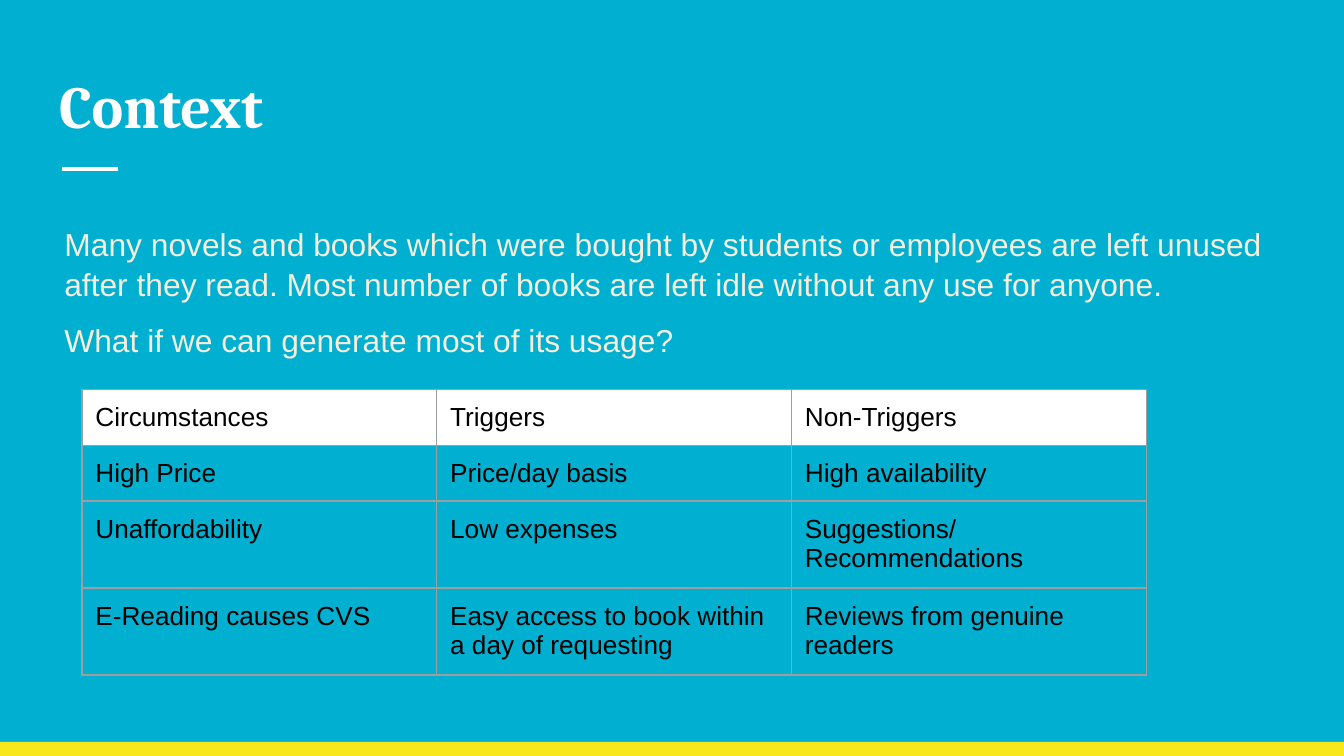
from dataclasses import dataclass

from lxml.etree import SubElement
from pptx import Presentation
from pptx.dml.color import RGBColor
from pptx.enum.shapes import MSO_CONNECTOR as CONN, MSO_SHAPE as SHAPE
from pptx.enum.text import MSO_ANCHOR as ANCHOR, PP_ALIGN as ALIGN
from pptx.oxml.ns import qn
from pptx.util import Inches, Pt

TEAL = RGBColor(0x01, 0xAF, 0xD1)
YELLOW = RGBColor(0xF8, 0xE7, 0x1C)
WHITE = RGBColor(0xFF, 0xFF, 0xFF)
CREAM = RGBColor(0xF4, 0xEE, 0xDC)
BLACK = RGBColor(0, 0, 0)
GREY = RGBColor(0x9E, 0x9E, 0x9E)
PAD = Inches(0.1)


@dataclass
class Font:
    name: str
    size: float
    color: RGBColor
    bold: bool = False


@dataclass
class Para:
    text: str
    before: float


@dataclass
class Row:
    height: float
    cells: tuple[str, str, str]


TITLE = Font("Cambria", 32, WHITE, True)
BODY = Font("Arial", 17, CREAM)
CELL = Font("Arial", 14, BLACK)

PARAS = [
    Para("Many novels and books which were bought by students or employees are left unused "
         "after they read. Most number of books are left idle without any use for anyone.", 4),
    Para("What if we can generate most of its usage?", 8),
]
ROWS = [
    Row(0.38, ("Circumstances", "Triggers", "Non-Triggers")),
    Row(0.38, ("High Price", "Price/day basis", "High availability")),
    Row(0.58, ("Unaffordability", "Low expenses", "Suggestions/ Recommendations")),
    Row(0.38, ("E-Reading causes CVS", "Easy access to book within a day of requesting",
               "Reviews from genuine readers")),
]


def add_run(p, text: str, font: Font) -> None:
    p.alignment = ALIGN.LEFT
    r = p.add_run()
    r.text = text
    r.font.name = font.name
    r.font.size = Pt(font.size)
    r.font.bold = font.bold
    r.font.color.rgb = font.color


def set_margins(box) -> None:
    box.margin_left = box.margin_right = box.margin_top = box.margin_bottom = PAD


def add_decor(s) -> None:
    bar = s.shapes.add_shape(SHAPE.RECTANGLE, 0, Inches(5.52), Inches(10), Inches(0.11))
    bar.shadow.inherit = False
    bar.fill.solid()
    bar.fill.fore_color.rgb = YELLOW
    bar.line.fill.background()
    rule = s.shapes.add_connector(CONN.STRAIGHT, Inches(0.46), Inches(1.26),
                                  Inches(0.88), Inches(1.26))
    rule.line.color.rgb = WHITE
    rule.line.width = Pt(2.25)
    SubElement(rule._element.spPr, qn("a:effectLst"))


def add_title(s, text: str) -> None:
    sp = s.shapes.title
    sp.left, sp.top, sp.width, sp.height = map(Inches, (0.34, 0.41, 9.32, 0.71))
    tf = sp.text_frame
    set_margins(tf)
    tf.word_wrap = True
    tf.vertical_anchor = ANCHOR.TOP
    add_run(tf.paragraphs[0], text, TITLE)


def add_body(s, paras: list[Para]) -> None:
    sp = s.shapes.add_textbox(*map(Inches, (0.34, 1.55, 9.32, 3.45)))
    tf = sp.text_frame
    set_margins(tf)
    tf.word_wrap = True
    for i, para in enumerate(paras):
        p = tf.add_paragraph() if i else tf.paragraphs[0]
        p.line_spacing = 1.07
        p.space_before = Pt(para.before)
        p._p.get_or_add_pPr().set("marL", str(Inches(0.04)))
        add_run(p, para.text, BODY)


def add_borders(cell) -> None:
    tcPr = cell._tc.get_or_add_tcPr()
    for side in ("lnL", "lnR", "lnT", "lnB"):
        ln = SubElement(tcPr, qn(f"a:{side}"), w=str(Pt(0.75)))
        fill = SubElement(ln, qn("a:solidFill"))
        SubElement(fill, qn("a:srgbClr"), val=str(GREY))


def add_grid(s, rows: list[Row]) -> None:
    frame = s.shapes.add_table(len(rows), 3, Inches(0.61), Inches(2.9), Inches(7.92),
                               Inches(sum(row.height for row in rows)))
    table = frame.table
    table.first_row = table.horz_banding = False
    for col in table.columns:
        col.width = Inches(2.64)
    for i, row in enumerate(rows):
        table.rows[i].height = Inches(row.height)
        for j, text in enumerate(row.cells):
            cell = table.cell(i, j)
            set_margins(cell)
            cell.margin_bottom = Inches(0.08)
            add_borders(cell)
            if i == 0:
                cell.fill.solid()
                cell.fill.fore_color.rgb = WHITE
            else:
                cell.fill.background()
            add_run(cell.text_frame.paragraphs[0], text, CELL)


def main() -> None:
    prs = Presentation()
    prs.slide_width = Inches(10)
    prs.slide_height = prs.slide_width * 9 // 16
    s = prs.slides.add_slide(prs.slide_layouts[5])
    s.background.fill.solid()
    s.background.fill.fore_color.rgb = TEAL
    add_decor(s)
    add_title(s, "Context")
    add_body(s, PARAS)
    add_grid(s, ROWS)
    prs.save("out.pptx")


if __name__ == "__main__":
    main()
